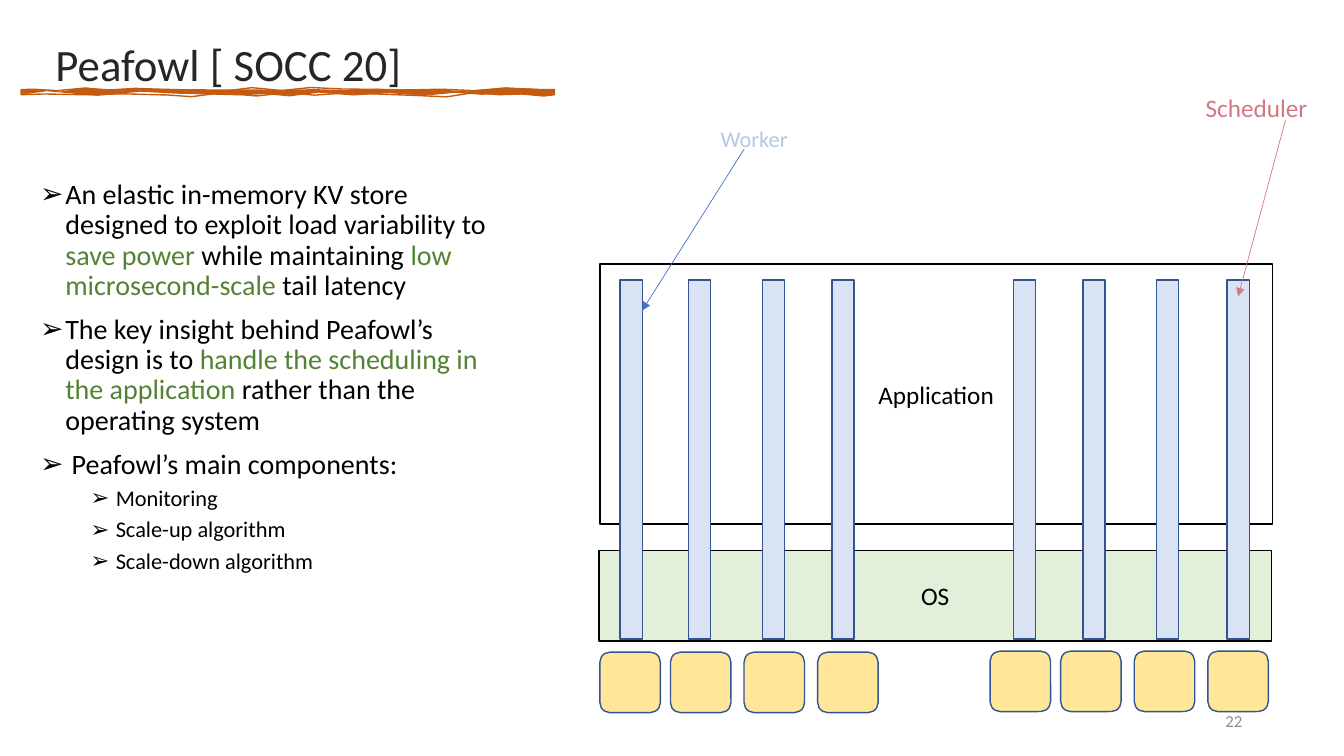
import copy

import lxml.etree
import pptx
import pptx.dml.color
import pptx.enum.shapes
import pptx.enum.text
import pptx.oxml.ns
import pptx.util

Inches = pptx.util.Inches
Pt = pptx.util.Pt
qualified = pptx.oxml.ns.qn
MSO_SHAPE = pptx.enum.shapes.MSO_SHAPE
ANCHOR = pptx.enum.text.MSO_ANCHOR
ALIGN = pptx.enum.text.PP_ALIGN
AUTO_SIZE = pptx.enum.text.MSO_AUTO_SIZE

COLORS = {
    "title": "262626", "text": "000000", "accent": "548235", "brush": "C55A11",
    "os": "E2F0D9", "application": "FFFFFF", "core": "FFE699", "thread": "DAE3F3",
    "outline": "325491", "worker": "B4C7E7", "worker_arrow": "4472C4",
    "scheduler": "D47685", "number": "8C8C8C",
}
BODY = [
    (0, [("An elastic in-memory KV store designed to exploit load variability to ", "text"),
         ("save power ", "accent"), ("while maintaining ", "text"),
         ("low microsecond-scale ", "accent"), ("tail latency", "text")]),
    (0, [("The key insight behind Peafowl’s design is to ", "text"),
         ("handle the scheduling in the application ", "accent"),
         ("rather than the operating system", "text")]),
    (0, [(" Peafowl’s main components:", "text")]),
    (1, [("Monitoring", "text")]),
    (1, [("Scale-up algorithm", "text")]),
    (1, [("Scale-down algorithm", "text")]),
]
STRANDS = [
    ([0, 0.48, 1.01, 1.5, 2.14, 2.73, 3.31, 4.01, 4.65, 5.29],
     [(-2, 3), (-4, 2), (-3, 0), (-1, 5), (-6, 4), (-5, 0), (-1, 1), (-2, 3), (-4, 1)],
     [5.29, 4.86, 4.38, 3.74, 3.04, 2.51, 1.81, 1.33, 0.9, 0],
     [(4, -3), (2, -6), (5, 0), (0, -4), (3, -6), (5, -6), (5, -1), (0, -2), (1, -2)]),
    ([0, 0.53, 0.96, 1.66, 2.19, 2.73, 3.42, 3.9, 4.6, 5.29],
     [(-2, 5), (-6, 2), (-3, 0), (-1, 0), (-1, 1), (-2, 2), (-3, 2), (-3, 5), (-5, 0)],
     [5.29, 4.7, 4.17, 3.47, 2.78, 2.3, 1.71, 1.01, 0],
     [(3, -3), (2, -5), (4, -5), (4, -6), (5, -3), (2, -1), (0, -7), (6, -10)]),
]


def rgb(name):
    """Return a named colour."""
    return pptx.dml.color.RGBColor.from_string(COLORS[name])


def style_font(paragraph, size, color):
    """Set font, size and colour of a paragraph."""
    font = paragraph.font
    font.name, font.size = "Calibri", Pt(size)
    font.color.rgb = rgb(color)


def style_shape(shape, fill, line):
    """Set fill and outline of a shape."""
    shape.shadow.inherit = False
    shape.fill.solid()
    shape.fill.fore_color.rgb = rgb(fill)
    shape.line.color.rgb = rgb(line)
    shape.line.width = Pt(1)


def add_block(slide, kind, box, fill, line, text=""):
    """Draw a filled, outlined shape with centred text."""
    shape = slide.shapes.add_shape(kind, *[Inches(value) for value in box])
    style_shape(shape, fill, line)
    if text:
        paragraph = shape.text_frame.paragraphs[0]
        paragraph.text, paragraph.alignment = text, ALIGN.CENTER
        style_font(paragraph, 18, "text")


def add_label(slide, box, text, size, color, wrap=False, alignment=ALIGN.LEFT):
    """Place one line of text."""
    frame = slide.shapes.add_textbox(*[Inches(value) for value in box]).text_frame
    frame.word_wrap = wrap
    frame.auto_size = AUTO_SIZE.NONE if wrap else AUTO_SIZE.SHAPE_TO_FIT_TEXT
    frame.vertical_anchor = ANCHOR.MIDDLE if wrap else ANCHOR.TOP
    paragraph = frame.paragraphs[0]
    paragraph.text, paragraph.alignment = text, alignment
    style_font(paragraph, size, color)


def add_arrow(slide, start, end, color):
    """Draw a thin line with an arrowhead at its end."""
    arrow = slide.shapes.add_connector(
        pptx.enum.shapes.MSO_CONNECTOR.STRAIGHT, *[Inches(value) for value in start + end])
    arrow.line.color.rgb = rgb(color)
    arrow.line.width = Pt(0.5)
    lxml.etree.SubElement(arrow.line._get_or_add_ln(), qualified("a:tailEnd"), type="triangle")
    lxml.etree.SubElement(arrow._element.spPr, qualified("a:effectLst"))


def add_title(slide, box, text):
    """Place the title."""
    title = slide.shapes.title
    title.left, title.top, title.width, title.height = [Inches(value) for value in box]
    frame = title.text_frame
    frame.auto_size, frame.vertical_anchor = AUTO_SIZE.NONE, ANCHOR.MIDDLE
    paragraph = frame.paragraphs[0]
    paragraph.text, paragraph.alignment, paragraph.line_spacing = text, ALIGN.LEFT, 0.9
    style_font(paragraph, 32, "title")


def wavy_edge(left, top, knots, bulges):
    """Return the ends of a wavy edge and two points on each wave."""
    points = [(Inches(left + knots[0]), Inches(top))]
    for start, end, (first, second) in zip(knots, knots[1:], bulges):
        for t in (0.25, 0.75):
            rise = 3 * t * (1 - t) * ((1 - t) * first + t * second) / 100
            points.append((Inches(left + start + t * (end - start)), Inches(top + rise)))
    return points + [(Inches(left + knots[-1]), Inches(top))]


def add_brush_line(slide, left, top, thickness):
    """Draw a brush stroke of one outlined and one filled strand."""
    builder = slide.shapes.build_freeform(Inches(left), Inches(top))
    for index, (upper, upper_bulges, lower, lower_bulges) in enumerate(STRANDS):
        points = wavy_edge(left, top, upper, upper_bulges)
        points += wavy_edge(left, top + thickness, lower, lower_bulges)
        if index:
            builder.move_to(*points[0])
        builder.add_line_segments(points[1:], close=True)
    stroke = builder.convert_to_shape()
    style_shape(stroke, "brush", "brush")
    outlined = next(stroke._element.iter(qualified("a:path")))
    filled = copy.deepcopy(outlined)
    outlined.addnext(filled)
    outlined.set("fill", "none")
    filled.set("stroke", "0")
    middle = list(outlined).index(outlined.findall(qualified("a:moveTo"))[1])
    del outlined[middle:]
    del filled[:middle]


def add_body(slide, box):
    """Write the bulleted text."""
    frame = slide.shapes.add_textbox(*[Inches(value) for value in box]).text_frame
    frame.word_wrap = True
    for index, (level, runs) in enumerate(BODY):
        paragraph = frame.add_paragraph() if index else frame.paragraphs[0]
        paragraph.level = level
        paragraph.line_spacing = 0.9
        paragraph.space_before = Pt(5 if level else 10)
        properties = paragraph._p.get_or_add_pPr()
        properties.set("marL", str(Inches(0.75 if level else 0.25)))
        properties.set("indent", str(Inches(-0.25)))
        lxml.etree.SubElement(properties, qualified("a:buFont"), typeface="Arial")
        lxml.etree.SubElement(properties, qualified("a:buChar"), char="➢")
        style_font(paragraph, 16 if level else 20, "text")
        for text, color in runs:
            run = paragraph.add_run()
            run.text = text
            if color != "text":
                run.font.color.rgb = rgb(color)


def add_diagram(slide, left, top, width):
    """Draw the application and system layers with their threads and cores."""
    add_block(slide, MSO_SHAPE.RECTANGLE, (left - 0.01, top + 2.84, width, 0.9),
              "os", "text", "OS")
    for group_left, group_top in ((0, 3.85), (3.87, 3.84)):
        for offset in (0, 0.7, 1.43, 2.16):
            add_block(slide, MSO_SHAPE.ROUNDED_RECTANGLE,
                      (left + group_left + offset, top + group_top, 0.6, 0.6),
                      "core", "outline")
    add_block(slide, MSO_SHAPE.RECTANGLE, (left, top, width, 2.58),
              "application", "text", "Application")
    for thread_left in (0.2, 0.88, 1.61, 2.3, 4.1, 4.79, 5.52, 6.22):
        add_block(slide, MSO_SHAPE.RECTANGLE, (left + thread_left, top + 0.16, 0.22, 3.56),
                  "thread", "outline")
    add_arrow(slide, (left + 1.43, top - 1.14), (left + 0.42, top + 0.46), "worker_arrow")
    add_label(slide, (left + 1.1, top - 1.43, 0.88, 0.37), "Worker", 16, "worker")
    add_arrow(slide, (left + 6.8, top - 1.43), (left + 6.33, top + 0.32), "scheduler")
    add_label(slide, (left + 5.91, top - 1.75, 1.22, 0.4), "Scheduler", 18, "scheduler")


def main():
    """Build and save the slide."""
    presentation = pptx.Presentation()
    presentation.slide_width, presentation.slide_height = Inches(13.33), Inches(7.5)
    slide = presentation.slides.add_slide(presentation.slide_layouts[5])
    add_title(slide, (0.45, -0.06, 5.92, 1.45), "Peafowl [ SOCC 20]")
    add_body(slide, (0.3, 1.74, 4.8, 4.76))
    add_diagram(slide, 5.95, 2.62, 6.67)
    add_label(slide, (9.42, 6.95, 3, 0.4), "22", 12, "number", True, ALIGN.RIGHT)
    add_brush_line(slide, 0.21, 0.89, 0.05)
    presentation.save("out.pptx")


if __name__ == "__main__":
    main()
